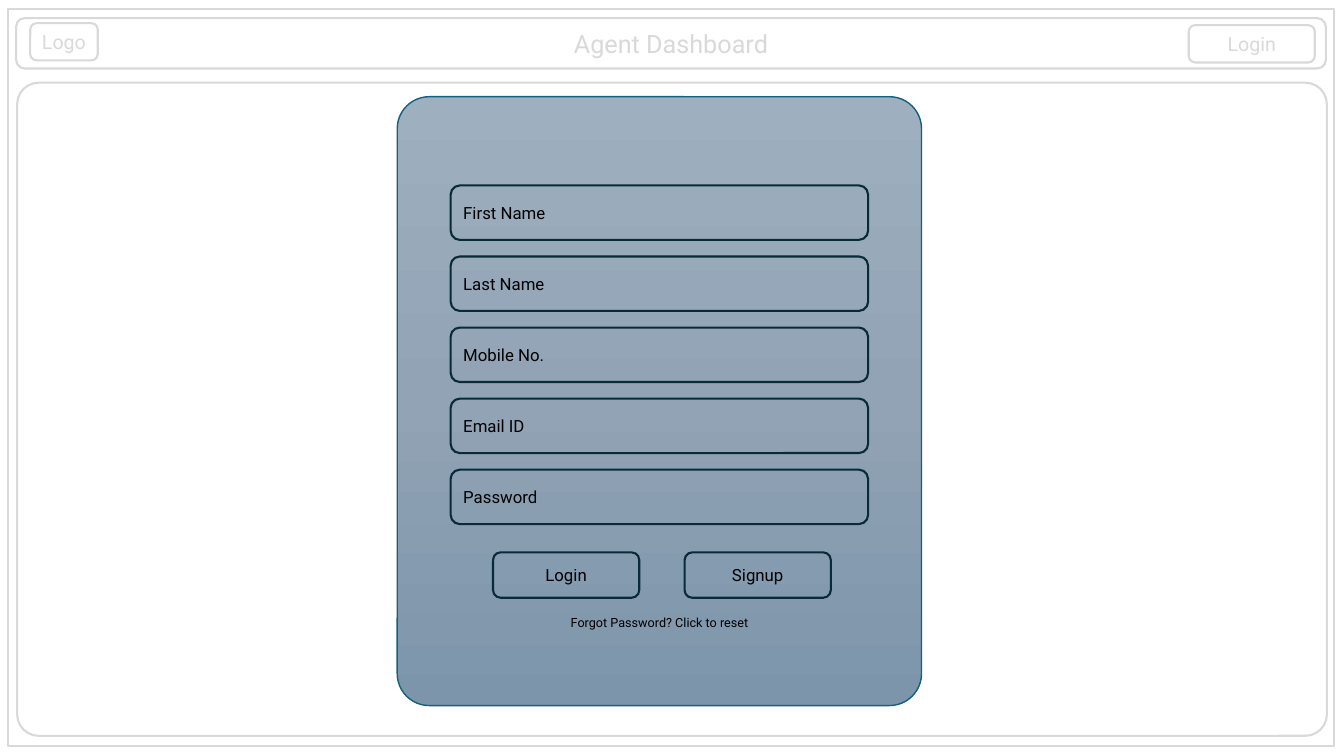
from copy import deepcopy

from pptx import Presentation
from pptx.dml.color import RGBColor
from pptx.enum.shapes import MSO_SHAPE as Preset
from pptx.enum.text import MSO_ANCHOR as Anchor, MSO_AUTO_SIZE as AutoSize, PP_ALIGN as Align
from pptx.oxml.ns import qn
from pptx.util import Inches, Pt

TITLE = "Agent Dashboard"
LOGO, HEADER_LOGIN = "Logo", "Login"
FIELDS = ["First Name", "Last Name", "Mobile No.", "Email ID", "Password"]
BUTTONS = ["Login", "Signup"]
RESET_HINT = "Forgot Password? Click to reset"

FONT = "Roboto"
WHITE = RGBColor(0xFF, 0xFF, 0xFF)
BLACK = RGBColor(0, 0, 0)
GREY = RGBColor(0xD9, 0xD9, 0xD9)
NAVY = RGBColor(0x09, 0x2A, 0x39)
CARD_EDGE = RGBColor(0x15, 0x60, 0x82)
CARD_SHADES = [RGBColor(0x9E, 0xAF, 0xBF), RGBColor(0x91, 0xA3, 0xB4),
               RGBColor(0x7C, 0x95, 0xAB)]

# Boxes are left, top, width, height in inches
PAGE = (0.08, 0.09, 13.15, 7.31)
CONTENT = (0.17, 0.82, 12.99, 6.48)
HEADER = (0.16, 0.18, 12.99, 0.5)
LOGO_BOX = (0.3, 0.23, 0.67, 0.37)
LOGIN_BOX = (11.79, 0.25, 1.25, 0.37)
CARD = (3.94, 0.96, 5.2, 6.04)
FORM_WIDTH, FIELD_HEIGHT = 4.14, 0.54
FIRST_FIELD, LAST_FIELD = 1.84, 4.66
BUTTON_LEFT, BUTTON_TOP, BUTTON_WIDTH, BUTTON_HEIGHT, BUTTON_GAP = 4.89, 5.48, 1.45, 0.45, 0.45
HINT_TOP, HINT_HEIGHT = 6.05, 0.25

presentation = Presentation()
presentation.slide_width, presentation.slide_height = Inches(13.33), Inches(7.5)
slide = presentation.slides.add_slide(presentation.slide_layouts[5])


def write(holder, text, size, color, align=Align.CENTER, anchor=Anchor.MIDDLE, side_margin=0.1):
    frame = holder.text_frame
    frame.word_wrap = True
    frame.auto_size = AutoSize.NONE
    frame.vertical_anchor = anchor
    frame.margin_left = frame.margin_right = Inches(side_margin)
    frame.margin_top = frame.margin_bottom = Inches(0.05)
    paragraph = frame.paragraphs[0]
    paragraph.alignment = align
    run = paragraph.add_run()
    run.text = text
    run.font.name, run.font.size, run.font.color.rgb = FONT, Pt(size), color


def rounded(box, rounding, edge, fill=None, weight=1.5):
    panel = slide.shapes.add_shape(Preset.ROUNDED_RECTANGLE, *map(Inches, box))
    panel.adjustments[0] = rounding
    panel.shadow.inherit = False
    panel.line.color.rgb, panel.line.width = edge, Pt(weight)
    if fill is None:
        panel.fill.background()
    else:
        panel.fill.solid()
        panel.fill.fore_color.rgb = fill
    return panel


def shade(panel, colors):
    """Fill with evenly spaced colours running from top to bottom."""
    panel.fill.gradient()
    panel.fill.gradient_angle = 270
    stop_list = panel.element.spPr.find(".//" + qn("a:gsLst"))
    for _ in colors[2:]:
        stop_list.append(deepcopy(stop_list[0]))
    for i, (stop, color) in enumerate(zip(panel.fill.gradient_stops, colors)):
        stop.position = i / (len(colors) - 1)
        stop.color.rgb = color


# Page frame and header
rounded(PAGE, 0, GREY, WHITE)
rounded(CONTENT, 0.033, GREY, WHITE)
rounded(HEADER, 0.173, GREY, WHITE)
write(rounded(LOGIN_BOX, 0.173, GREY, WHITE), HEADER_LOGIN, 14, GREY)
write(rounded(LOGO_BOX, 0.173, GREY, WHITE), LOGO, 14, GREY, side_margin=0.05)

title = slide.shapes.title
title.left, title.top, title.width, title.height = map(Inches, HEADER)
write(title, TITLE, 18, GREY)
slide.shapes.element.append(title.element)  # bring in front of the header bar

# Sign-up card
shade(rounded(CARD, 0.061, CARD_EDGE, weight=1), CARD_SHADES)

form_left = CARD[0] + (CARD[2] - FORM_WIDTH) / 2
field_step = (LAST_FIELD - FIRST_FIELD) / (len(FIELDS) - 1)
for row, label in enumerate(FIELDS):
    box = (form_left, FIRST_FIELD + row * field_step, FORM_WIDTH, FIELD_HEIGHT)
    write(rounded(box, 0.167, NAVY), label, 12, BLACK, Align.LEFT)

for column, label in enumerate(BUTTONS):
    left = BUTTON_LEFT + column * (BUTTON_WIDTH + BUTTON_GAP)
    write(rounded((left, BUTTON_TOP, BUTTON_WIDTH, BUTTON_HEIGHT), 0.167, NAVY), label, 12, BLACK)

reset_hint = slide.shapes.add_textbox(
    *map(Inches, (form_left, HINT_TOP, FORM_WIDTH, HINT_HEIGHT)))
write(reset_hint, RESET_HINT, 9, BLACK, anchor=Anchor.TOP)

presentation.save("out.pptx")
